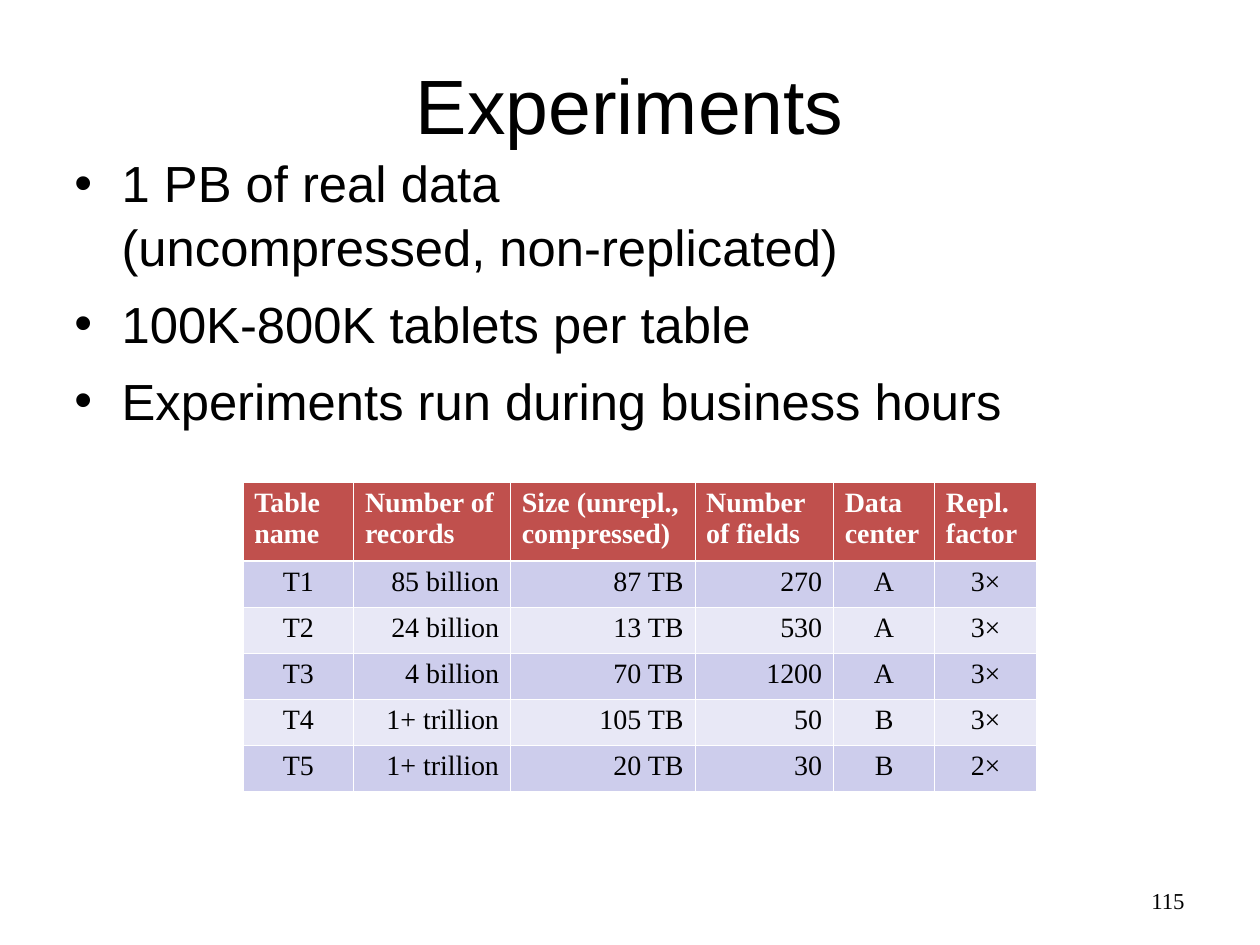
from dataclasses import dataclass

from lxml import etree
from pptx import Presentation
from pptx.dml.color import RGBColor
from pptx.enum.text import MSO_ANCHOR, PP_ALIGN
from pptx.oxml.ns import qn
from pptx.util import Pt

LEFT, CENTER, RIGHT = PP_ALIGN.LEFT, PP_ALIGN.CENTER, PP_ALIGN.RIGHT
TOP, MIDDLE = MSO_ANCHOR.TOP, MSO_ANCHOR.MIDDLE
SANS, SERIF = "Arial", "Times New Roman"
COLORS = {
    "text": "000000",
    "white": "FFFFFF",
    "header": "C0504D",
    "odd_row": "CDCDEC",
    "even_row": "E8E8F6",
}
THIN, THICK = 0.45, 1.47


@dataclass
class Column:
    heading: str
    width: float
    align: PP_ALIGN


@dataclass
class TextBox:
    lines: list[str]
    left: float
    top: float
    width: float
    height: float
    size: float
    font: str = SANS
    align: PP_ALIGN = LEFT
    anchor: MSO_ANCHOR = MIDDLE
    bulleted: bool = False


COLUMNS = [
    Column("Table name", 63.3, CENTER),
    Column("Number of records", 89.6, RIGHT),
    Column("Size (unrepl., compressed)", 105.4, RIGHT),
    Column("Number of fields", 79.2, RIGHT),
    Column("Data center", 57.8, CENTER),
    Column("Repl. factor", 58.3, CENTER),
]
ROWS = [
    ["T1", "85 billion", "87 TB", "270", "A", "3×"],
    ["T2", "24 billion", "13 TB", "530", "A", "3×"],
    ["T3", "4 billion", "70 TB", "1200", "A", "3×"],
    ["T4", "1+ trillion", "105 TB", "50", "B", "3×"],
    ["T5", "1+ trillion", "20 TB", "30", "B", "2×"],
]
HEADER_HEIGHT, ROW_HEIGHT = 45, 26.3
BULLETS = [
    "1 PB of real data\v(uncompressed, non-replicated)",
    "100K-800K tablets per table",
    "Experiments run during business hours",
]
BOXES = [
    TextBox(["Experiments"], 36, 14.4, 648, 90, 44, align=CENTER),
    TextBox(BULLETS, 36, 82, 648, 172, 29, anchor=TOP, bulleted=True),
    TextBox(["115"], 516.2, 500.4, 167.8, 28.8, 13, font=SERIF, align=RIGHT),
]


def write_text(para, text: str, *, size: float, font: str, align: PP_ALIGN = LEFT,
               color: str = "text", bold: bool = False) -> None:
    para.text = text
    para.alignment = align
    for span in para.runs:
        span.font.size = Pt(size)
        span.font.name = font
        span.font.bold = bold
        span.font.color.rgb = RGBColor.from_string(COLORS[color])


def add_bullet(para) -> None:
    properties = para._p.get_or_add_pPr()
    properties.set("marL", str(Pt(27)))
    properties.set("indent", str(Pt(-27)))
    etree.SubElement(properties, qn("a:buFont"), typeface=SANS)
    etree.SubElement(properties, qn("a:buChar"), char="•")


def add_text_box(page, box: TextBox) -> None:
    shape = page.shapes.add_textbox(Pt(box.left), Pt(box.top), Pt(box.width), Pt(box.height))
    frame = shape.text_frame
    frame.word_wrap = True
    frame.vertical_anchor = box.anchor
    if box.bulleted:
        frame.margin_left = frame.margin_right = Pt(6.5)
        frame.margin_top = frame.margin_bottom = Pt(3.2)
    for index, line in enumerate(box.lines):
        para = frame.paragraphs[0] if index == 0 else frame.add_paragraph()
        if box.bulleted:
            add_bullet(para)
            para.line_spacing = 1.05
            if index:
                para.space_before = Pt(7.3)
        write_text(para, line, size=box.size, font=box.font, align=box.align)


def add_border(cell, side: str, width: float) -> None:
    line = etree.SubElement(cell._tc.get_or_add_tcPr(), qn(f"a:{side}"), w=str(Pt(width)))
    fill = etree.SubElement(line, qn("a:solidFill"))
    etree.SubElement(fill, qn("a:srgbClr"), val=COLORS["white"])


def fill_cell(cell, text: str, row: int, align: PP_ALIGN) -> None:
    header = row == 0
    for side in ("lnL", "lnR", "lnT", "lnB"):
        under_header = (row, side) in ((0, "lnB"), (1, "lnT"))
        add_border(cell, side, THICK if under_header else THIN)
    fill = "header" if header else "odd_row" if row % 2 else "even_row"
    cell.fill.solid()
    cell.fill.fore_color.rgb = RGBColor.from_string(COLORS[fill])
    cell.margin_left = cell.margin_right = Pt(6.5)
    cell.margin_top = cell.margin_bottom = Pt(3.4)
    write_text(cell.text_frame.paragraphs[0], text, size=16, font=SERIF,
               align=LEFT if header else align,
               color="white" if header else "text", bold=header)


def add_data_table(page, left: float, top: float) -> None:
    width = sum(column.width for column in COLUMNS)
    height = HEADER_HEIGHT + ROW_HEIGHT * len(ROWS)
    table = page.shapes.add_table(len(ROWS) + 1, len(COLUMNS), Pt(left), Pt(top),
                                  Pt(width), Pt(height)).table
    for index, column in enumerate(COLUMNS):
        table.columns[index].width = Pt(column.width)
    headings = [column.heading for column in COLUMNS]
    for row, values in enumerate([headings, *ROWS]):
        table.rows[row].height = Pt(ROW_HEIGHT if row else HEADER_HEIGHT)
        for index, value in enumerate(values):
            fill_cell(table.cell(row, index), value, row, COLUMNS[index].align)


def main() -> None:
    deck = Presentation()
    deck.slide_width, deck.slide_height = Pt(720), Pt(540)
    page = deck.slides.add_slide(deck.slide_layouts[6])
    for box in BOXES:
        add_text_box(page, box)
    add_data_table(page, 138.8, 275.4)
    deck.save("out.pptx")


if __name__ == "__main__":
    main()
